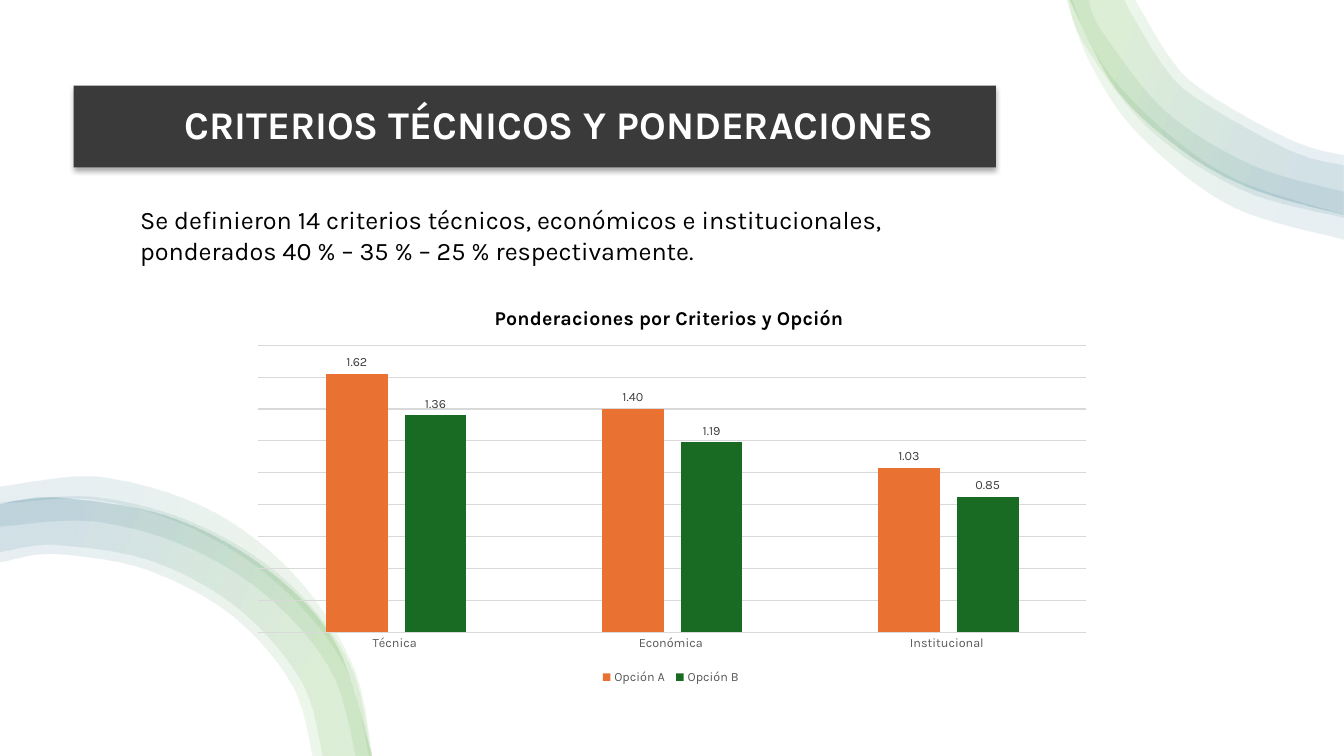
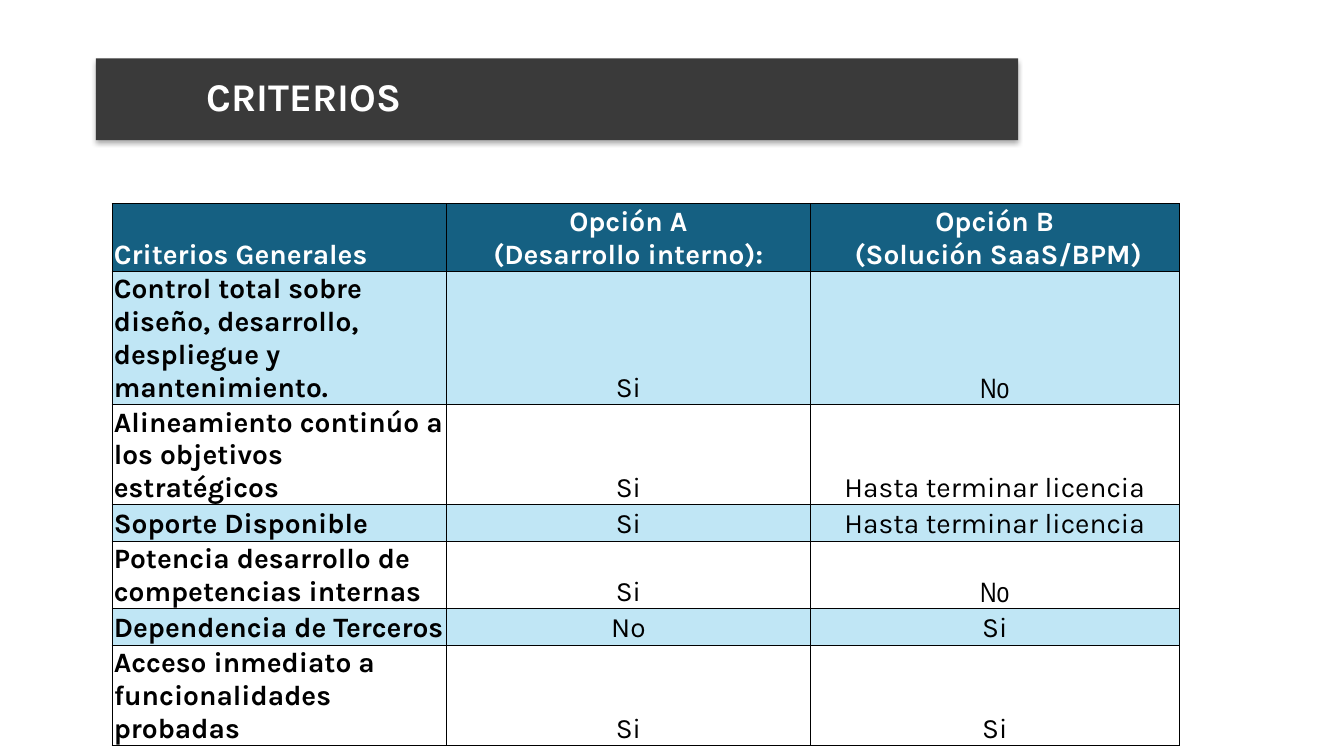
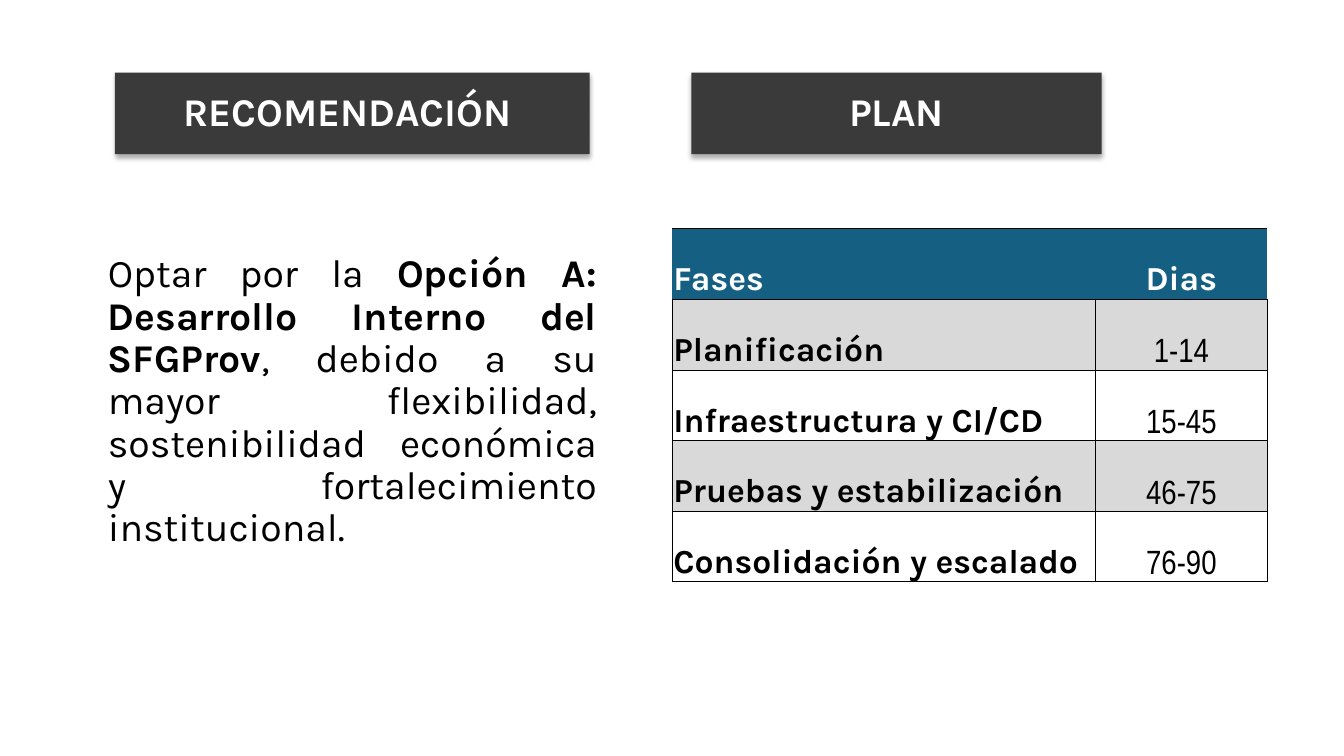
from dataclasses import dataclass

from pptx import Presentation
from pptx.chart.data import CategoryChartData
from pptx.dml.color import RGBColor
from pptx.enum.chart import XL_CHART_TYPE, XL_LABEL_POSITION, XL_LEGEND_POSITION, XL_TICK_MARK
from pptx.enum.shapes import MSO_CONNECTOR, MSO_SHAPE
from pptx.enum.text import MSO_ANCHOR, MSO_AUTO_SIZE, PP_ALIGN
from pptx.oxml import parse_xml
from pptx.oxml.ns import nsdecls, qn
from pptx.util import Emu, Inches, Pt

PX = 9144  # one hundred px to the inch
TITLE_AND_BODY, TITLE_ONLY = 1, 5


@dataclass(frozen=True)
class Theme:
    font: str = "Karla"
    narrow_font: str = "Arial Narrow"
    background: str = "FFFFFF"
    band: str = "3A3A3A"
    accent: str = "0F9ED5"
    text: str = "000000"
    inverse: str = "FFFFFF"
    table_header: str = "156082"
    blue_row: str = "C0E6F5"
    grey_row: str = "D9D9D9"
    grid: str = "D9D9D9"
    axis_text: str = "595959"
    label_text: str = "404040"
    series: tuple = ("E97132", "196B24")
    ribbon_stops: tuple = ((0, "4EA72E"), (16, "4EA72E"), (85, "156082"), (100, "156082"))
    ribbon_opacity: int = 10
    title_size: int = 28
    body_size: int = 28
    intro_size: int = 18
    criteria_size: int = 20
    plan_size: int = 24
    chart_title_size: int = 14
    chart_size: int = 9


THEME = Theme()

# Outer and inner edge of each ribbon, from the green end to the blue end.
TOP_RIM = [(1061, 0), (1107, 88), (1167, 145), (1241, 187), (1333, 213)]
TOP_RIBBONS = [
    ([(1058, 0), (1083, 66), (1131, 135), (1222, 205), (1333, 238)],
     [(1064, 0), (1079, 38), (1108, 83), (1166, 139), (1235, 182), (1333, 213)]),
    (TOP_RIM, [(1126, 0), (1161, 58), (1195, 91), (1283, 140), (1333, 154)]),
    ([(1060, 0), (1075, 43), (1140, 128), (1231, 188), (1333, 216)],
     [(1080, 0), (1095, 34), (1157, 111), (1243, 164), (1333, 190)]),
    (TOP_RIM, [(1115, 0), (1153, 64), (1189, 99), (1279, 149), (1333, 164)]),
]
BOTTOM_RIM = [(368, 750), (331, 637), (260, 562), (164, 512), (57, 494), (0, 500)]
BOTTOM_RIBBONS = [
    (BOTTOM_RIM, [(309, 750), (289, 680), (232, 613), (149, 567), (57, 550), (0, 558)]),
    (BOTTOM_RIM, [(319, 750), (298, 676), (238, 606), (153, 558), (57, 541), (0, 548)]),
    ([(368, 750), (346, 659), (285, 578), (198, 522), (97, 494), (0, 499)],
     [(352, 750), (328, 667), (268, 595), (187, 544), (94, 518), (0, 523)]),
    ([(369, 750), (350, 661), (293, 572), (207, 506), (100, 474), (0, 483)],
     [(366, 750), (343, 664), (280, 584), (195, 527), (97, 497), (0, 500)]),
]


def px(*lengths):
    return [Emu(round(length * PX)) for length in lengths]


def rgb(color):
    return RGBColor.from_string(color)


def curve_points(points):
    """Give two handles and an end for each curve of a smooth line through the points."""
    padded = [points[0], *points, points[-1]]
    for a, b, c, d in zip(padded, padded[1:], padded[2:], padded[3:]):
        yield tuple(q + (r - p) / 6 for p, q, r in zip(a, b, c))
        yield tuple(r - (s - q) / 6 for q, r, s in zip(b, c, d))
        yield c


def bend_lines(shape, first, count):
    """Join each three line segments of a freeform, from the first on, into one curve."""
    lines = list(shape._element.iter(qn("a:lnTo")))[first:first + count]
    for line, *others in zip(lines[::3], lines[1::3], lines[2::3]):
        curve = parse_xml(f'<a:cubicBezTo {nsdecls("a")}/>')
        line.addprevious(curve)
        for segment in (line, *others):
            curve.append(segment[0])
            segment.getparent().remove(segment)


def place_in_chart(element, index, **fractions):
    """Give a chart part a manual layout in fractions of the chart."""
    for layout in element.findall(qn("c:layout")):
        element.remove(layout)
    target = '<c:layoutTarget val="inner"/>' if "w" in fractions else ""
    modes = "".join(f'<c:{key}Mode val="edge"/>' for key in "xy")
    values = "".join(f'<c:{key} val="{value}"/>' for key, value in fractions.items())
    element.insert(index, parse_xml(
        f'<c:layout {nsdecls("c")}><c:manualLayout>{target}{modes}{values}'
        '</c:manualLayout></c:layout>'))


class Deck:
    def __init__(self, theme):
        self.theme = theme
        self.presentation = Presentation()
        self.presentation.slide_width = Emu(12192000)
        self.presentation.slide_height = Inches(7.5)
        self.slide = None

    def new_slide(self, layout):
        self.slide = self.presentation.slides.add_slide(self.presentation.slide_layouts[layout])

    def send_to_back(self, shape):
        self.slide.shapes._spTree.insert(2, shape._element)

    def backdrop(self):
        shape = self.slide.shapes.add_shape(
            MSO_SHAPE.RECTANGLE, 0, 0,
            self.presentation.slide_width, self.presentation.slide_height)
        shape.shadow.inherit = False
        shape.fill.solid()
        shape.fill.fore_color.rgb = rgb(self.theme.background)
        shape.line.fill.background()
        self.send_to_back(shape)

    def accent_line(self, start, end):
        line = self.slide.shapes.add_connector(MSO_CONNECTOR.STRAIGHT, *px(*start, *end))
        line.line.color.rgb = rgb(self.theme.accent)
        line.line.width = Pt(4.5)
        line._element.spPr.append(parse_xml(f'<a:effectLst {nsdecls("a")}/>'))
        self.send_to_back(line)

    def style_font(self, font, size, color, bold=False, name=None):
        font.name = name or self.theme.font
        font.size = Pt(size)
        font.bold = bold
        font.color.rgb = rgb(color)

    def add_run(self, paragraph, text, *style, **options):
        run = paragraph.add_run()
        run.text = text
        self.style_font(run.font, *style, **options)

    def title(self, at, text, **options):
        self.style_band(self.slide.shapes.title, at, text, **options)

    def band(self, at, text, **options):
        shape = self.slide.shapes.add_shape(MSO_SHAPE.RECTANGLE, *px(*at))
        self.style_band(shape, at, text, **options)

    def style_band(self, shape, at, text, align=PP_ALIGN.LEFT, indent=10):
        shape.left, shape.top, shape.width, shape.height = px(*at)
        shape.fill.solid()
        shape.fill.fore_color.rgb = rgb(self.theme.band)
        shape.line.fill.background()
        shape.shadow.inherit = False
        shape._element.spPr.find(qn("a:effectLst")).append(parse_xml(
            f'<a:outerShdw {nsdecls("a")} blurRad="{Pt(3.5)}" dist="{Pt(2.2)}" dir="5400000" '
            'algn="t" rotWithShape="0"><a:srgbClr val="000000"><a:alpha val="32000"/>'
            '</a:srgbClr></a:outerShdw>'))
        frame = shape.text_frame
        frame.word_wrap = True
        frame.auto_size = MSO_AUTO_SIZE.NONE
        frame.vertical_anchor = MSO_ANCHOR.MIDDLE
        frame.margin_left, = px(indent)
        paragraph = frame.paragraphs[0]
        paragraph.alignment = align
        paragraph.line_spacing = 0.9
        self.add_run(paragraph, text, self.theme.title_size, self.theme.inverse, bold=True)

    def body(self, at, runs, size, align=PP_ALIGN.LEFT, line_spacing=1.0, space_before=0):
        """Fill the body placeholder with one paragraph of (text, bold) runs."""
        shape = self.slide.placeholders[1]
        shape.left, shape.top, shape.width, shape.height = px(*at)
        frame = shape.text_frame
        frame.word_wrap = True
        frame.auto_size = MSO_AUTO_SIZE.NONE
        paragraph = frame.paragraphs[0]
        paragraph.alignment = align
        paragraph.line_spacing = line_spacing
        paragraph.space_before = Pt(space_before)
        properties = paragraph._p.get_or_add_pPr()
        properties.set("marL", "0")
        properties.set("indent", "0")
        properties.append(parse_xml(f'<a:buNone {nsdecls("a")}/>'))
        for text, bold in runs:
            self.add_run(paragraph, text, size, self.theme.text, bold=bold)

    def ribbons(self, edges, angle):
        """Draw a group of translucent curved ribbons."""
        group = self.slide.shapes.add_group_shape()
        stops = "".join(
            f'<a:gs pos="{position * 1000}"><a:srgbClr val="{color}">'
            f'<a:alpha val="{self.theme.ribbon_opacity * 1000}"/></a:srgbClr></a:gs>'
            for position, color in self.theme.ribbon_stops)
        for outer, inner in edges:
            inner = inner[::-1]
            there, back = list(curve_points(outer)), list(curve_points(inner))
            builder = group.shapes.build_freeform(*outer[0], scale=PX)
            builder.add_line_segments([*there, inner[0], *back], close=True)
            shape = builder.convert_to_shape()
            bend_lines(shape, len(there) + 1, len(back))
            bend_lines(shape, 0, len(there))
            shape.shadow.inherit = False
            shape.line.fill.background()
            shape._element.spPr.insert(2, parse_xml(
                f'<a:gradFill {nsdecls("a")} rotWithShape="1"><a:gsLst>{stops}</a:gsLst>'
                f'<a:lin ang="{angle * 60000}" scaled="0"/></a:gradFill>'))

    def table(self, at, widths, heights, rows, size, row_color, margin, narrow, open_header=False):
        """Draw a table; narrow holds the (row, column) pairs set in the narrow font."""
        left, top = at
        table = self.slide.shapes.add_table(
            len(rows), len(widths), *px(left, top, sum(widths), sum(heights))).table
        table.first_row = table.horz_banding = False
        for column, width in zip(table.columns, px(*widths)):
            column.width = width
        for row, height in zip(table.rows, px(*heights)):
            row.height = height
        for row_index, texts in enumerate(rows):
            header = row_index == 0
            borders = dict.fromkeys("LRTB", 0.5)
            if header and open_header:
                borders.update(L=0, R=0, T=1)
            fill = self.theme.table_header if header else row_color if row_index % 2 else None
            for column_index, text in enumerate(texts):
                cell = table.cell(row_index, column_index)
                self.style_cell(cell, fill, borders, margin)
                name = self.theme.narrow_font if (row_index, column_index) in narrow else None
                for line_index, line in enumerate(text.split("\n")):
                    frame = cell.text_frame
                    paragraph = frame.add_paragraph() if line_index else frame.paragraphs[0]
                    paragraph.alignment = PP_ALIGN.CENTER if column_index else PP_ALIGN.LEFT
                    self.add_run(paragraph, line, size,
                                 self.theme.inverse if header else self.theme.text,
                                 bold=header or column_index == 0, name=name)

    def style_cell(self, cell, fill, borders, margin):
        cell.vertical_anchor = MSO_ANCHOR.BOTTOM
        cell.margin_left, cell.margin_right, cell.margin_top, cell.margin_bottom = px(
            margin, margin, margin, 0)
        properties = cell._tc.get_or_add_tcPr()
        for side, width in borders.items():
            paint = (f'<a:solidFill><a:srgbClr val="{self.theme.text}"/></a:solidFill>'
                     if width else '<a:noFill/>')
            properties.append(parse_xml(
                f'<a:ln{side} {nsdecls("a")} w="{Pt(width)}">{paint}</a:ln{side}>'))
        if fill:
            cell.fill.solid()
            cell.fill.fore_color.rgb = rgb(fill)
        else:
            cell.fill.background()

    def column_chart(self, at, title, categories, series, maximum, unit):
        theme = self.theme
        data = CategoryChartData(number_format="0.00")
        data.categories = categories
        for name, values in series:
            data.add_series(name, values)
        chart = self.slide.shapes.add_chart(XL_CHART_TYPE.COLUMN_CLUSTERED, *px(*at), data).chart
        self.style_font(chart.font, theme.chart_size, theme.axis_text)

        chart.has_title = True
        self.add_run(chart.chart_title.text_frame.paragraphs[0], title,
                     theme.chart_title_size, theme.text, bold=True)
        place_in_chart(chart.chart_title._element, 1, x=0.29, y=0.03)
        place_in_chart(chart._chartSpace.chart.plotArea, 0, x=0.02, y=0.14, w=0.96, h=0.72)

        chart.has_legend = True
        chart.legend.position = XL_LEGEND_POSITION.BOTTOM
        chart.legend.include_in_layout = False
        self.style_font(chart.legend.font, theme.chart_size, theme.axis_text)

        category_axis, value_axis = chart.category_axis, chart.value_axis
        category_axis.major_tick_mark = XL_TICK_MARK.NONE
        self.style_font(category_axis.tick_labels.font, theme.chart_size, theme.axis_text)
        value_axis.minimum_scale, value_axis.maximum_scale = 0, maximum
        value_axis.major_unit = unit
        value_axis.has_major_gridlines = True
        value_axis.visible = False
        for line in (category_axis.format.line, value_axis.major_gridlines.format.line):
            line.color.rgb = rgb(theme.grid)
            line.width = Pt(0.75)

        plot = chart.plots[0]
        plot.gap_width, plot.overlap = 219, -27
        plot.vary_by_categories = False
        for column_series, color in zip(plot.series, theme.series):
            column_series.format.fill.solid()
            column_series.format.fill.fore_color.rgb = rgb(color)
            labels = column_series.data_labels
            labels.show_value = True
            labels.number_format, labels.number_format_is_linked = "0.00", False
            labels.position = XL_LABEL_POSITION.OUTSIDE_END
            self.style_font(labels.font, theme.chart_size, theme.label_text)


def weights_slide(deck):
    deck.new_slide(TITLE_AND_BODY)
    deck.backdrop()
    deck.ribbons(TOP_RIBBONS, 20)
    deck.ribbons(BOTTOM_RIBBONS, 200)
    deck.title((73, 85, 915, 81), "CRITERIOS TÉCNICOS Y PONDERACIONES", indent=110)
    deck.body((129, 198, 873, 71), [
        ("Se definieron 14 criterios técnicos, económicos e institucionales, "
         "ponderados 40 % – 35 % – 25 % respectivamente.", False)], THEME.intro_size)
    deck.column_chart(
        (239, 287, 856, 396), "Ponderaciones por Criterios y Opción",
        ["Técnica ", "Económica ", "Institucional "],
        [("Opción A ", (1.62, 1.40, 1.03)), ("Opción B ", (1.36, 1.19, 0.85))],
        maximum=1.8, unit=0.2)


def criteria_slide(deck):
    deck.new_slide(TITLE_ONLY)
    deck.accent_line((95, 95), (175, 95))
    deck.title((95, 58, 915, 81), "CRITERIOS", indent=110)
    rows = [
        ("Criterios Generales", "Opción A\n (Desarrollo interno): ", "Opción B\n (Solución SaaS/BPM)"),
        ("Control total sobre diseño, desarrollo, despliegue y mantenimiento.", "Si", "No"),
        ("Alineamiento continúo a los objetivos estratégicos", "Si", "Hasta terminar licencia"),
        ("Soporte Disponible", "Si", "Hasta terminar licencia"),
        ("Potencia desarrollo de competencias internas", "Si", "No"),
        ("Dependencia de Terceros", "No", "Si"),
        ("Acceso inmediato a funcionalidades probadas", "Si", "Si"),
    ]
    deck.table((111, 202), (332, 361, 366), (65, 131, 98, 36, 65, 36, 98), rows,
               THEME.criteria_size, THEME.blue_row, margin=2, narrow={(1, 2), (4, 2)})


def plan_slide(deck):
    deck.new_slide(TITLE_AND_BODY)
    deck.title((114, 72, 471, 81), "RECOMENDACIÓN ", align=PP_ALIGN.CENTER)
    deck.band((686, 72, 407, 81), "PLAN", align=PP_ALIGN.CENTER)
    deck.body((97, 247, 505, 312), [
        ("Optar por la ", False),
        ("Opción A: Desarrollo Interno del SFGProv", True),
        (", debido a su mayor flexibilidad, sostenibilidad económica "
         "y fortalecimiento institucional.", False)],
        THEME.body_size, align=PP_ALIGN.JUSTIFY, line_spacing=0.9, space_before=10)
    rows = [
        ("Fases", "Dias"),
        ("Planificación", "1-14"),
        ("Infraestructura y CI/CD", "15-45"),
        ("Pruebas y estabilización", "46-75"),
        ("Consolidación y escalado", "76-90"),
    ]
    deck.table((667, 227), (420, 170), [70] * len(rows), rows, THEME.plan_size, THEME.grey_row,
               margin=1, narrow={(row, 1) for row in range(1, len(rows))}, open_header=True)


def main():
    deck = Deck(THEME)
    weights_slide(deck)
    criteria_slide(deck)
    plan_slide(deck)
    deck.presentation.save("out.pptx")


if __name__ == "__main__":
    main()
